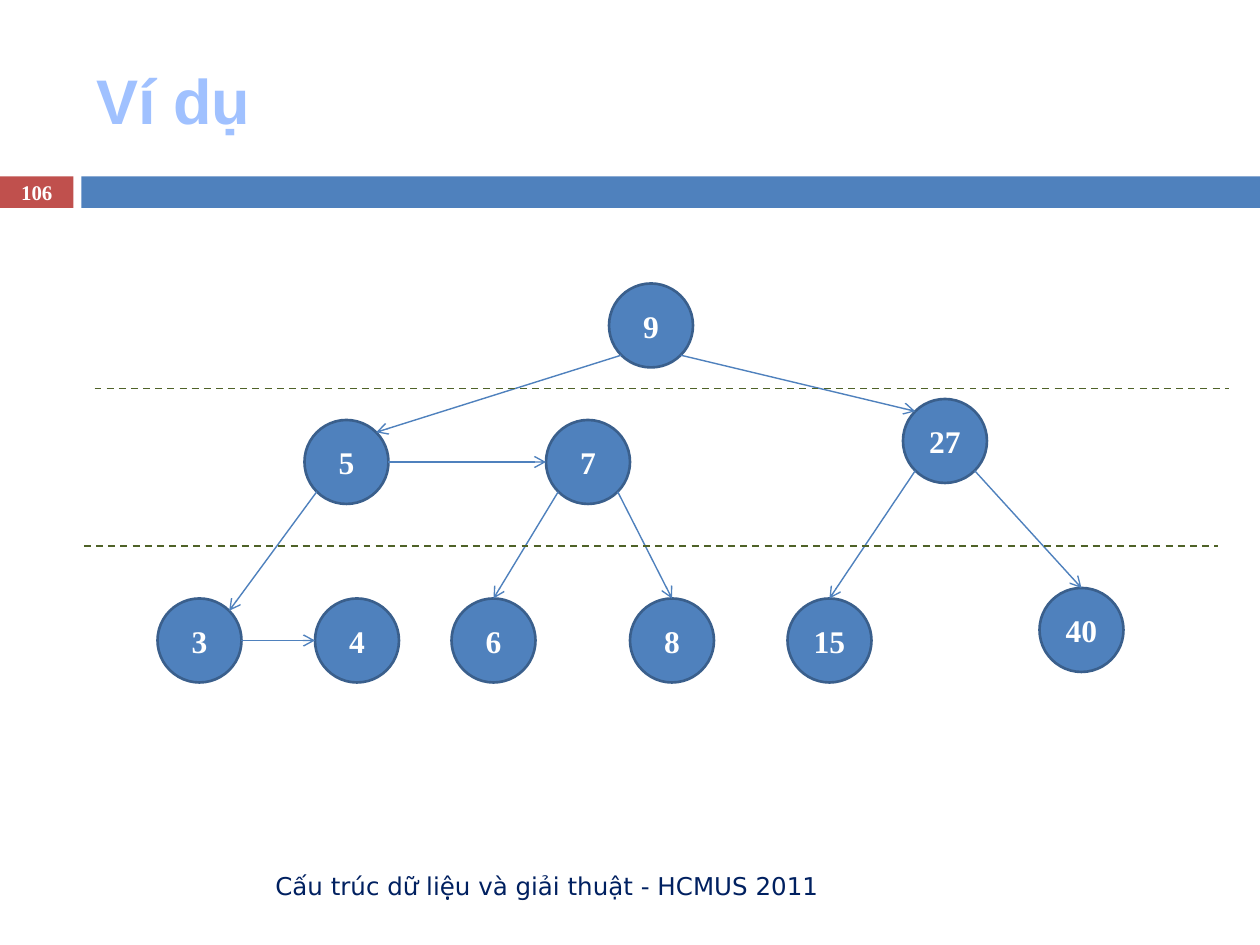
from dataclasses import dataclass
from math import sqrt

from lxml import etree
from pptx import Presentation
from pptx.dml.color import RGBColor
from pptx.enum.dml import MSO_LINE
from pptx.enum.shapes import MSO_CONNECTOR, MSO_SHAPE
from pptx.enum.text import MSO_ANCHOR, PP_ALIGN
from pptx.oxml.ns import qn
from pptx.util import Pt

RECT, OVAL = MSO_SHAPE.RECTANGLE, MSO_SHAPE.OVAL
STRAIGHT, DASH = MSO_CONNECTOR.STRAIGHT, MSO_LINE.DASH
LEFT, CENTER, RIGHT = PP_ALIGN.LEFT, PP_ALIGN.CENTER, PP_ALIGN.RIGHT
MIDDLE = MSO_ANCHOR.MIDDLE


@dataclass(frozen=True)
class Theme:
    title: str = "A0C1FF"
    footer: str = "002060"
    blue: str = "4F81BD"
    red: str = "C0504D"
    node_line: str = "3A5F8C"
    level_line: str = "4F6228"
    white: str = "FFFFFF"
    title_font: str = "Arial"
    footer_font: str = "DejaVu Sans"
    number_font: str = "Times New Roman"
    title_size: float = 36
    footer_size: float = 14
    node_size: float = 18
    page_size: float = 11.9


DIAMETER = 48
NODES = {  # key: left, top
    "9": (348, 162),
    "27": (516, 228), "5": (174, 240), "7": (312, 240),
    "3": (90, 342), "4": (180, 342), "6": (258, 342),
    "8": (360, 342), "15": (450, 342), "40": (594, 336),
}
DIAGONAL = 1 / sqrt(2)
SITES = {  # direction from the centre of a node, in radii
    "top": (0, -1), "left": (-1, 0), "right": (1, 0),
    "top left": (-DIAGONAL, -DIAGONAL), "top right": (DIAGONAL, -DIAGONAL),
    "bottom left": (-DIAGONAL, DIAGONAL), "bottom right": (DIAGONAL, DIAGONAL),
}
EDGES = [
    ("9", "bottom left", "5", "top right"),
    ("9", "bottom right", "27", "top left"),
    ("5", "bottom left", "3", "top right"),
    ("3", "right", "4", "left"),
    ("5", "right", "7", "left"),
    ("7", "bottom left", "6", "top"),
    ("7", "bottom right", "8", "top"),
    ("27", "bottom left", "15", "top"),
    ("27", "bottom right", "40", "top"),
]
LEVEL_LINES = [(48, 312), (54, 222)]
LEVEL_WIDTH = 648


def site_point(key, site):
    """Return the x and y of a site on the rim of a node."""
    radius = DIAMETER / 2
    return [start + radius * (1 + d) for start, d in zip(NODES[key], SITES[site])]


class SlideBuilder:
    def __init__(self, s, theme):
        self.s, self.theme = s, theme

    def set_text(self, sp, text, font, size, color, align=CENTER, bold=True):
        tf = sp.text_frame
        tf.text = text
        tf.word_wrap = True
        tf.vertical_anchor = MIDDLE
        p = tf.paragraphs[0]
        p.alignment = align
        f = p.runs[0].font
        f.name, f.size, f.bold = font, Pt(size), bold
        f.color.rgb = RGBColor.from_string(color)

    def title(self, text, *box):
        t, sp = self.theme, self.s.shapes.title
        sp.left, sp.top, sp.width, sp.height = map(Pt, box)
        self.set_text(sp, text, t.title_font, t.title_size, t.title, LEFT)

    def shape(self, kind, color, *box):
        sp = self.s.shapes.add_shape(kind, *map(Pt, box))
        sp.shadow.inherit = False
        sp.fill.solid()
        sp.fill.fore_color.rgb = RGBColor.from_string(color)
        sp.line.fill.background()
        return sp

    def footer(self, text, *box):
        t = self.theme
        sp = self.s.shapes.add_textbox(*map(Pt, box))
        self.set_text(sp, text, t.footer_font, t.footer_size, t.footer, RIGHT, False)

    def page_number(self, text, *box):
        t = self.theme
        sp = self.shape(RECT, t.red, *box)
        self.set_text(sp, text, t.number_font, t.page_size, t.white)
        tf = sp.text_frame
        tf.margin_left = tf.margin_right = tf.margin_top = tf.margin_bottom = 0

    def node(self, text, left, top):
        t = self.theme
        sp = self.shape(OVAL, t.blue, left, top, DIAMETER, DIAMETER)
        sp.line.color.rgb = RGBColor.from_string(t.node_line)
        sp.line.width = Pt(1.5)
        self.set_text(sp, text, t.number_font, t.node_size, t.white)
        sp.text_frame.margin_left = sp.text_frame.margin_right = 0
        return sp

    def line(self, start, end, color, width):
        c = self.s.shapes.add_connector(STRAIGHT, *map(Pt, (*start, *end)))
        c.line.color.rgb = RGBColor.from_string(color)
        c.line.width = Pt(width)
        etree.SubElement(c._element.spPr, qn("a:effectLst"))
        return c

    def arrow(self, start, end):
        c = self.line(start, end, self.theme.blue, 0.79)
        ln = c._element.spPr.find(qn("a:ln"))
        etree.SubElement(ln, qn("a:tailEnd"), type="arrow")
        return c

    def level_line(self, left, y):
        c = self.line((left, y), (left + LEVEL_WIDTH, y), self.theme.level_line, 1)
        c.line.dash_style = DASH


def main():
    prs = Presentation()
    prs.slide_width, prs.slide_height = Pt(720), Pt(540)
    s = prs.slides.add_slide(prs.slide_layouts[5])
    theme = Theme()
    b = SlideBuilder(s, theme)

    b.shape(RECT, theme.blue, 46.5, 100.8, 673.5, 18)
    b.title("Ví dụ", 48, 18, 642, 78)
    b.footer("Cấu trúc dữ liệu và giải thuật - HCMUS 2011", 48, 492, 427, 28.8)
    b.page_number("106", 0, 100.8, 42, 18)

    nodes = {key: b.node(key, *place) for key, place in NODES.items()}
    for parent, out_site, child, in_site in EDGES:
        c = b.arrow(site_point(parent, out_site), site_point(child, in_site))
        if in_site == "top":
            c.end_connect(nodes[child], 0)
    for left, y in LEVEL_LINES:
        b.level_line(left, y)

    prs.save("out.pptx")


if __name__ == "__main__":
    main()
